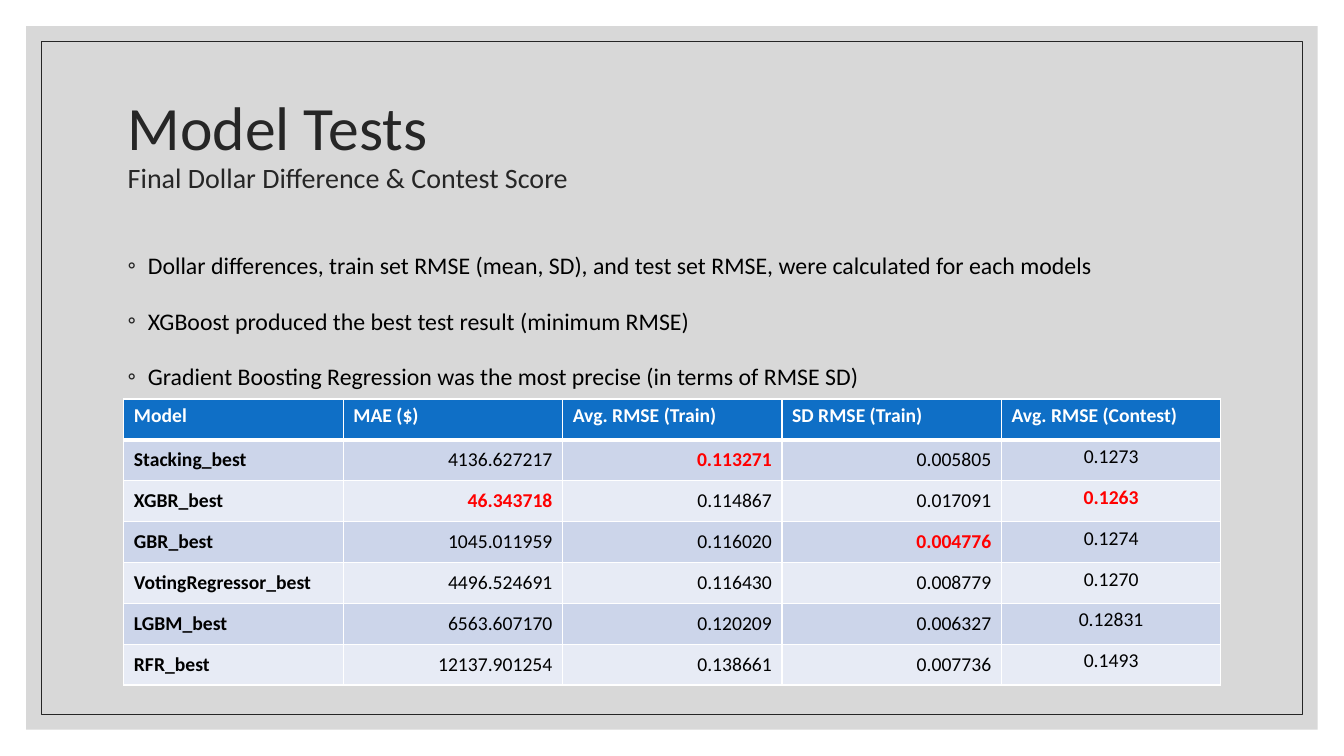
from lxml import etree
from pptx import Presentation
from pptx.dml.color import RGBColor
from pptx.enum.shapes import MSO_SHAPE
from pptx.enum.text import MSO_ANCHOR, MSO_AUTO_SIZE, PP_ALIGN
from pptx.oxml.ns import qn
from pptx.util import Inches, Pt

RECTANGLE = MSO_SHAPE.RECTANGLE
TOP, MIDDLE = MSO_ANCHOR.TOP, MSO_ANCHOR.MIDDLE
LEFT, CENTER, RIGHT = PP_ALIGN.LEFT, PP_ALIGN.CENTER, PP_ALIGN.RIGHT
NO_AUTOFIT = MSO_AUTO_SIZE.NONE

WHITE = RGBColor(0xFF, 0xFF, 0xFF)
BLACK = RGBColor(0x00, 0x00, 0x00)
CHARCOAL = RGBColor(0x26, 0x26, 0x26)
GREY = RGBColor(0xBF, 0xBF, 0xBF)
BLUE = RGBColor(0x0F, 0x6F, 0xC6)
RED = RGBColor(0xFF, 0x00, 0x00)
BANDS = (RGBColor(0xCC, 0xD5, 0xEA), RGBColor(0xE7, 0xEB, 0xF5))

FINDINGS = [
    "Dollar differences, train set RMSE (mean, SD), and test set RMSE, were calculated for each models",
    "XGBoost produced the best test result (minimum RMSE)",
    "Gradient Boosting Regression was the most precise (in terms of RMSE SD)",
]
HEADINGS = ["Model", "MAE ($)", "Avg. RMSE (Train)", "SD RMSE (Train)", "Avg. RMSE (Contest)"]
SCORES = [
    ["Stacking_best", "4136.627217", "0.113271", "0.005805", "0.1273"],
    ["XGBR_best", "46.343718", "0.114867", "0.017091", "0.1263"],
    ["GBR_best", "1045.011959", "0.116020", "0.004776", "0.1274"],
    ["VotingRegressor_best", "4496.524691", "0.116430", "0.008779", "0.1270"],
    ["LGBM_best", "6563.607170", "0.120209", "0.006327", "0.12831"],
    ["RFR_best", "12137.901254", "0.138661", "0.007736", "0.1493"],
]
ALIGNMENTS = [LEFT, RIGHT, RIGHT, RIGHT, CENTER]


class ResultSlide:
    """Draws styled elements on one slide laid out on a 160 by 90 grid."""

    COLUMNS, ROWS = 160, 90
    FONT = "Calibri"

    def __init__(self, deck):
        self.unit = deck.slide_width / self.COLUMNS
        self.slide = deck.slides.add_slide(deck.slide_layouts[1])
        self.shapes = self.slide.shapes
        self.backdrops = 0

    def box(self, *cells):
        return [round(cell * self.unit) for cell in cells]

    def style(self, font, size, color, bold=False):
        font.name, font.size, font.bold = self.FONT, Pt(size), bold
        font.color.rgb = color

    def place(self, placeholder, area):
        placeholder.left, placeholder.top, placeholder.width, placeholder.height = self.box(*area)
        placeholder.text_frame.auto_size = NO_AUTOFIT
        return placeholder.text_frame

    def panel(self, inset, fill=None, opacity=100, line=None):
        area = self.box(inset, inset, self.COLUMNS - 2 * inset, self.ROWS - 2 * inset)
        panel = self.shapes.add_shape(RECTANGLE, *area)
        panel.shadow.inherit = False
        if fill is None:
            panel.fill.background()
        else:
            panel.fill.solid()
            panel.fill.fore_color.rgb = fill
            shade = panel.fill._xPr.find(".//" + qn("a:srgbClr"))
            etree.SubElement(shade, qn("a:alpha"), val=str(opacity * 1000))
        if line is None:
            panel.line.fill.background()
        else:
            panel.line.color.rgb = line
            panel.line.width = Pt(0.5)
        self.shapes._spTree.insert(2 + self.backdrops, panel._element)
        self.backdrops += 1

    def title(self, heading, subheading, area):
        frame = self.place(self.shapes.title, area)
        frame.vertical_anchor = MIDDLE
        paragraph = frame.paragraphs[0]
        paragraph.alignment, paragraph.line_spacing = LEFT, 0.9
        self.style(paragraph.add_run().font, 44, CHARCOAL)
        paragraph.add_line_break()
        self.style(paragraph.add_run().font, 20, CHARCOAL)
        for run, wording in zip(paragraph.runs, (heading, subheading)):
            run.text = wording

    def bullets(self, items, area):
        frame = self.place(self.slide.placeholders[1], area)
        frame.text = "\n".join(items)
        for paragraph in frame.paragraphs:
            paragraph.line_spacing, paragraph.space_before = 1.5, Pt(9)
            properties = paragraph._p.get_or_add_pPr()
            properties.set("marL", str(Inches(0.2)))
            properties.set("indent", str(-Inches(0.2)))
            tint = etree.SubElement(properties, qn("a:buClr"))
            etree.SubElement(tint, qn("a:srgbClr"), val=str(CHARCOAL))
            etree.SubElement(properties, qn("a:buFont"), typeface=self.FONT)
            etree.SubElement(properties, qn("a:buChar"), char="◦")
            self.style(paragraph.font, 17, BLACK)

    def cell(self, cell, wording, fill, color, bold, alignment, anchor, rule=1):
        properties = cell._tc.get_or_add_tcPr()
        for side in "LRTB":
            width = Pt(rule if side == "B" else 1)
            border = etree.SubElement(properties, qn(f"a:ln{side}"), w=str(width))
            paint = etree.SubElement(border, qn("a:solidFill"))
            etree.SubElement(paint, qn("a:srgbClr"), val=str(WHITE))
        cell.fill.solid()
        cell.fill.fore_color.rgb = fill
        cell.vertical_anchor = anchor
        cell.text = wording
        paragraph = cell.text_frame.paragraphs[0]
        paragraph.alignment = alignment
        self.style(paragraph.font, 14, color, bold)

    def table(self, headings, records, best, area):
        table = self.shapes.add_table(len(records) + 1, len(headings), *self.box(*area)).table
        for column, heading in enumerate(headings):
            self.cell(table.cell(0, column), heading, BLUE, WHITE, True, LEFT, TOP, rule=3)
        for row, record in enumerate(records):
            for column, score in enumerate(record):
                winner = score in best
                self.cell(
                    table.cell(row + 1, column), score, BANDS[row % 2],
                    RED if winner else BLACK, winner or column == 0, ALIGNMENTS[column],
                    TOP if column == len(record) - 1 else MIDDLE,
                )


def main():
    deck = Presentation()
    deck.slide_width, deck.slide_height = Inches(13.33), Inches(7.5)
    tests = ResultSlide(deck)
    tests.panel(3.12, fill=GREY, opacity=60)
    tests.panel(4.92, line=CHARCOAL)
    tests.title("Model Tests", "Final Dollar Difference & Contest Score", (14, 8.4, 132, 18))
    tests.bullets(FINDINGS, (14, 27.6, 132, 50.5))
    best = [min((record[column] for record in SCORES), key=float) for column in range(1, 5)]
    tests.table(HEADINGS, SCORES, best, (14.75, 47.5, 130.6, 34.1))
    deck.save("out.pptx")


if __name__ == "__main__":
    main()
